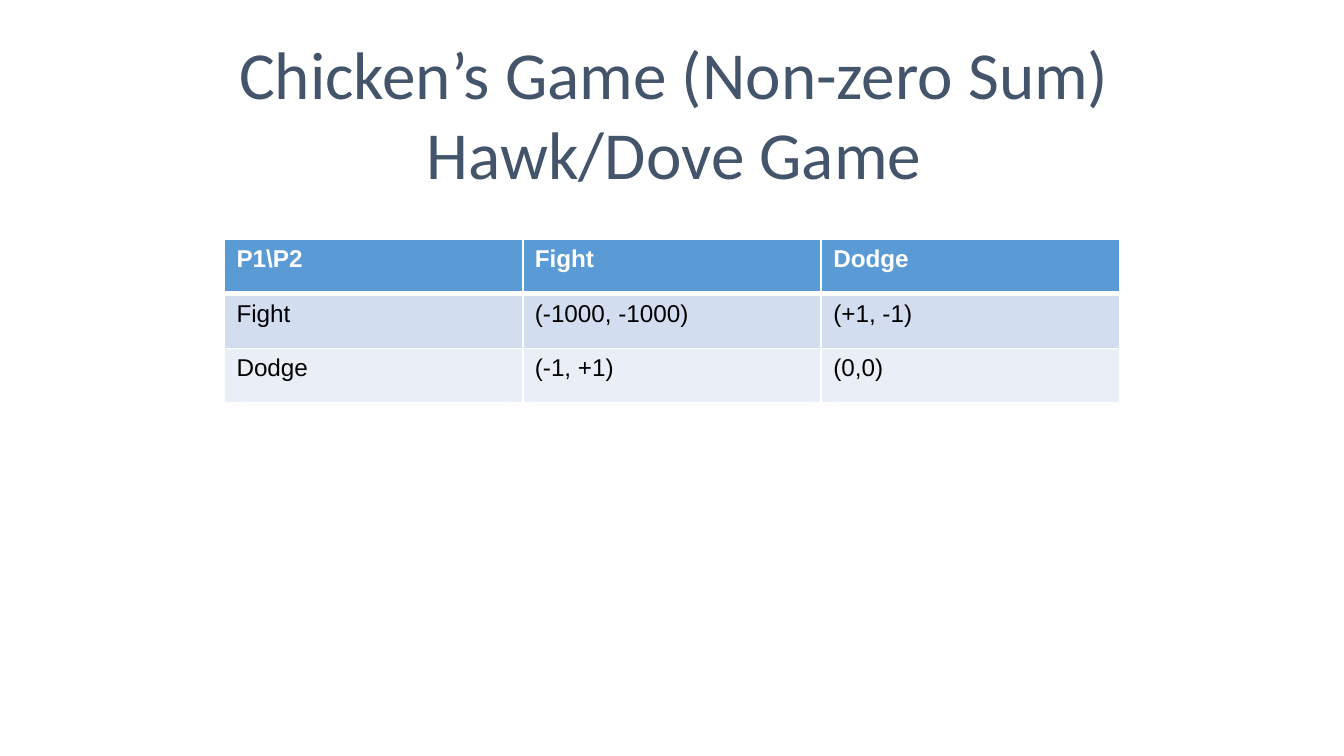
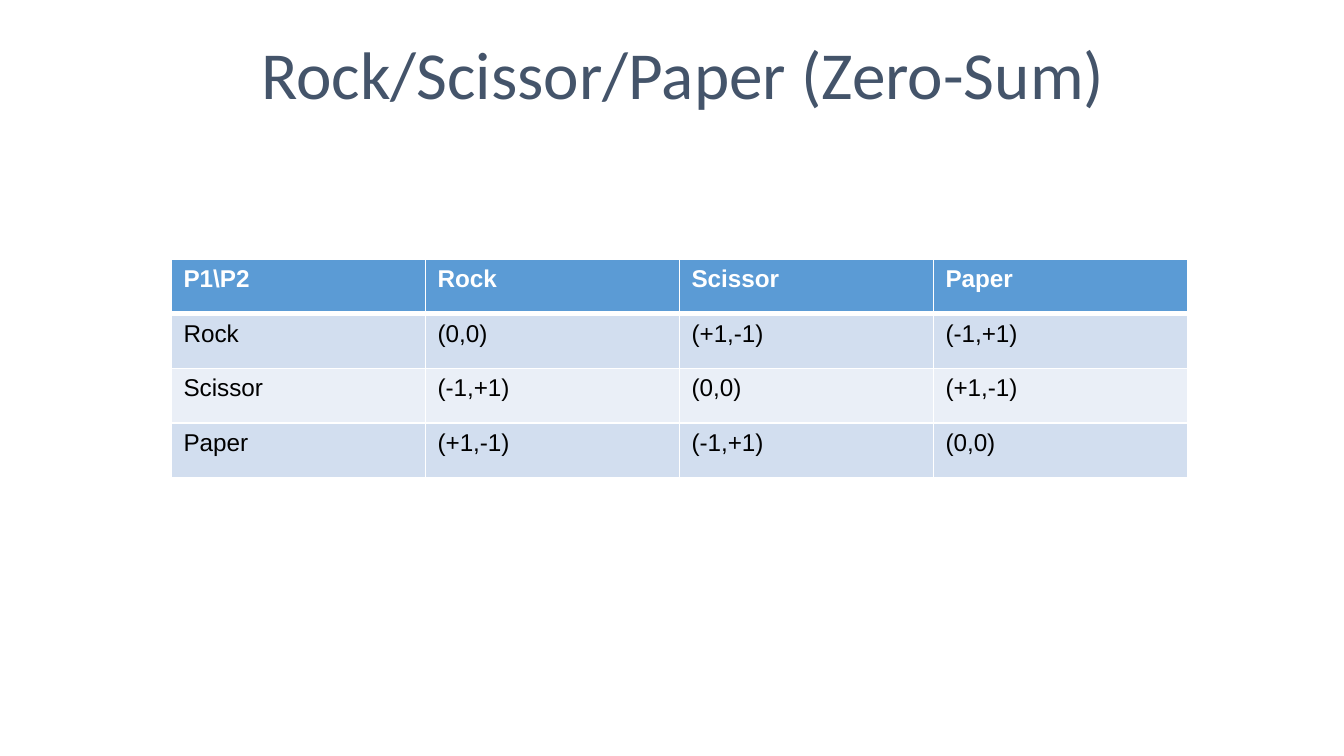
"""Build two slides showing the payoff tables of classic games."""
from lxml.etree import SubElement
from pptx import Presentation
from pptx.dml.color import RGBColor
from pptx.enum.text import MSO_AUTO_SIZE, PP_ALIGN
from pptx.oxml.ns import qn
from pptx.util import Cm, Pt

COLOURS = {
    "title": "44546A",
    "header": "5B9BD5",
    "odd_row": "D2DEEF",
    "even_row": "EAEFF7",
    "white": "FFFFFF",
    "text": "000000",
}


class GameDeck:
    """Hold the shared style and the current slide."""

    title_font, title_size = "Calibri", 36
    table_font, table_size = "Arial", 13
    title_top, title_line = 0.48, 1.65
    row_height = 1.03
    thin, thick = 1, 3

    def __init__(self):
        self.deck = Presentation()
        self.deck.slide_width, self.deck.slide_height = Cm(25.4), Cm(14.28)
        self.page = None

    def add_page(self):
        self.page = self.deck.slides.add_slide(self.deck.slide_layouts[6])

    def format_spans(self, para, font, size, colour, bold=False):
        for span in para.runs:
            span.font.name = font
            span.font.size = Pt(size)
            span.font.bold = bold
            span.font.color.rgb = RGBColor.from_string(COLOURS[colour])

    def add_title(self, text, left, width):
        height = self.title_line * len(text.split("\n"))
        box = self.page.shapes.add_textbox(Cm(left), Cm(self.title_top), Cm(width), Cm(height))
        frame = box.text_frame
        frame.word_wrap = True
        frame.auto_size = MSO_AUTO_SIZE.SHAPE_TO_FIT_TEXT
        frame.text = text
        for para in frame.paragraphs:
            para.alignment = PP_ALIGN.CENTER
            self.format_spans(para, self.title_font, self.title_size, "title")

    def add_borders(self, cell, top, bottom):
        properties = cell._tc.get_or_add_tcPr()
        widths = {"L": self.thin, "R": self.thin, "T": top, "B": bottom}
        for side, width in widths.items():
            line = SubElement(properties, qn(f"a:ln{side}"), w=str(Pt(width)))
            fill = SubElement(line, qn("a:solidFill"))
            SubElement(fill, qn("a:srgbClr"), val=COLOURS["white"])

    def format_cell(self, cell, row):
        is_header = row == 0
        self.add_borders(
            cell,
            top=self.thick if row == 1 else self.thin,
            bottom=self.thick if is_header else self.thin,
        )
        band = "header" if is_header else "odd_row" if row % 2 else "even_row"
        cell.fill.solid()
        cell.fill.fore_color.rgb = RGBColor.from_string(COLOURS[band])
        cell.margin_left = cell.margin_right = Cm(0.23)
        cell.margin_top = cell.margin_bottom = Cm(0.12)
        self.format_spans(
            cell.text_frame.paragraphs[0],
            self.table_font,
            self.table_size,
            "white" if is_header else "text",
            bold=is_header,
        )

    def add_payoffs(self, moves, payoffs, left, top, column_width):
        rows = [["P1\\P2", *moves]]
        rows += [[move, *values] for move, values in zip(moves, payoffs)]
        count = len(rows)
        table = self.page.shapes.add_table(
            count, count, Cm(left), Cm(top),
            Cm(column_width * count), Cm(self.row_height * count),
        ).table
        table.first_row = table.horz_banding = False
        for column in table.columns:
            column.width = Cm(column_width)
        for row, values in enumerate(rows):
            table.rows[row].height = Cm(self.row_height)
            for column, value in enumerate(values):
                cell = table.cell(row, column)
                cell.text_frame.text = value
                self.format_cell(cell, row)


def main():
    game = GameDeck()

    game.add_page()
    game.add_title("Chicken’s Game (Non-zero Sum)\nHawk/Dove Game", left=4.09, width=17.3)
    game.add_payoffs(
        ["Fight", "Dodge"],
        [["(-1000, -1000)", "(+1, -1)"], ["(-1, +1)", "(0,0)"]],
        left=4.24, top=4.52, column_width=5.64,
    )

    game.add_page()
    game.add_title("Rock/Scissor/Paper (Zero-Sum)", left=4.45, width=16.92)
    draw, win, loss = "(0,0)", "(+1,-1)", "(-1,+1)"
    game.add_payoffs(
        ["Rock", "Scissor", "Paper"],
        [[draw, win, loss], [loss, draw, win], [win, loss, draw]],
        left=3.24, top=4.9, column_width=4.8,
    )

    game.deck.save("out.pptx")


if __name__ == "__main__":
    main()
